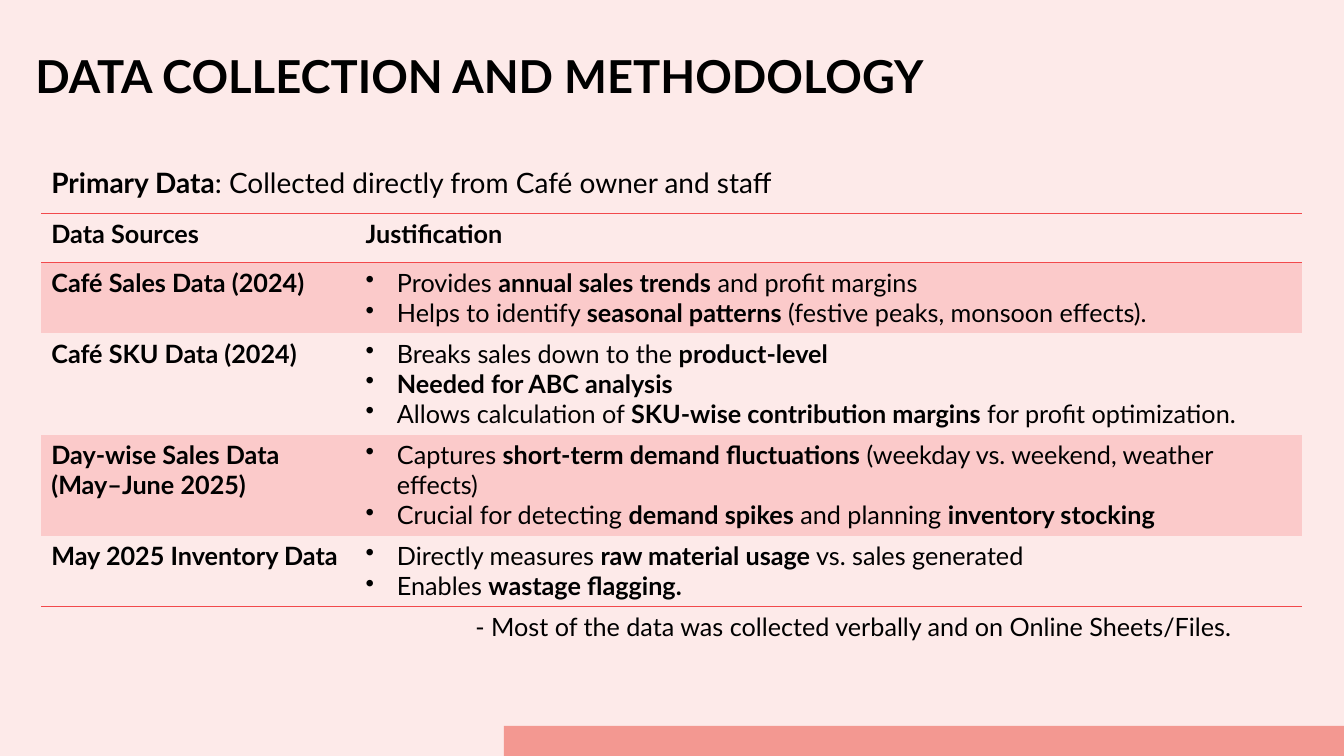
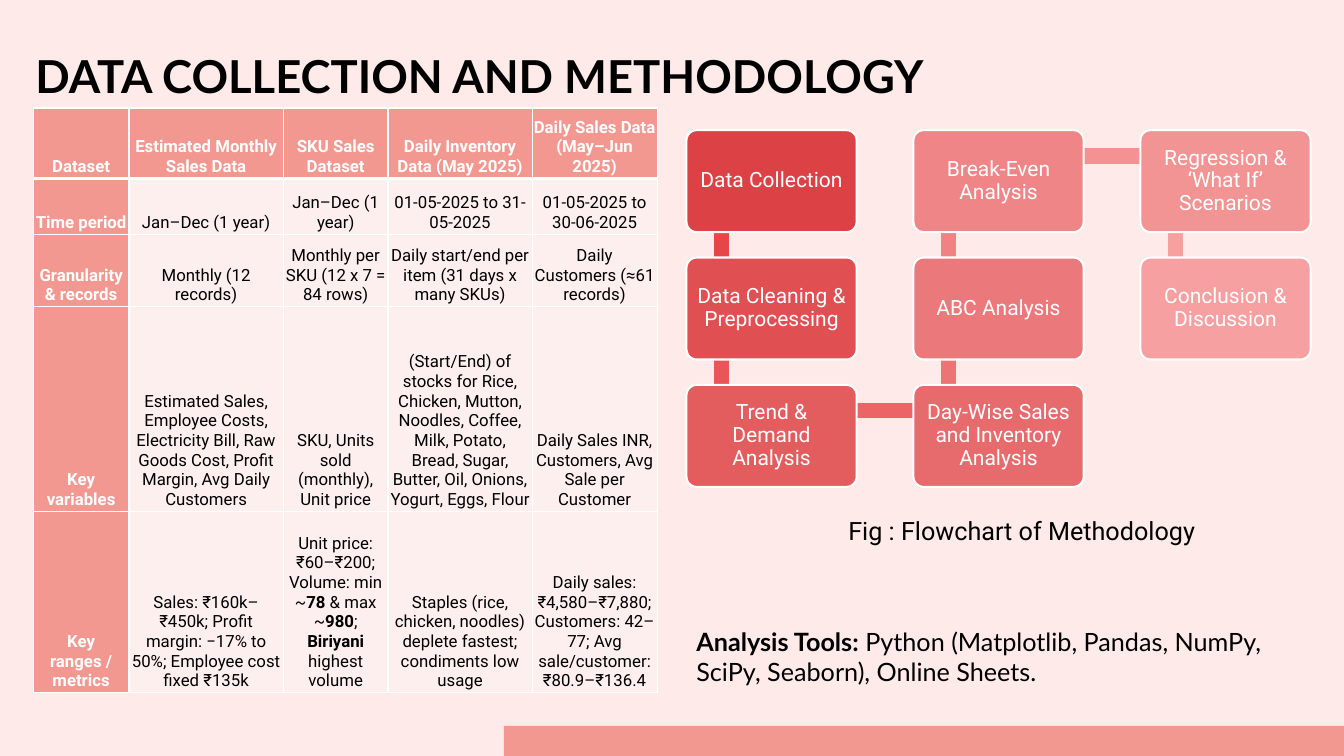
"""Build two slides on data collection and methodology for a café study."""
from dataclasses import dataclass

from lxml import etree
from pptx import Presentation
from pptx.dml.color import RGBColor
from pptx.enum import shapes, text
from pptx.oxml.ns import qn
from pptx.util import Cm, Pt


@dataclass(frozen=True)
class Theme:
    heading: str = "Lato"
    plain: str = "Roboto"
    background: str = "FDEAE9"
    band: str = "F39891"
    stripe: str = "FBCACA"
    rule: str = "F2494C"
    pale: str = "FDEFEE"
    ink: str = "000000"
    white: str = "FFFFFF"
    node_ramp: tuple = ("DC4245", "F6A0A1")
    bar_ramp: tuple = ("E74649", "F6A0A0")
    title_size: float = 32.4
    lead_size: int = 20
    text_size: int = 18
    node_size: int = 15
    small_size: int = 12


T = Theme()
PLAIN_STYLE = "{2D5ABB26-0587-4C30-8999-92F81FD0307C}"

TITLE = "DATA COLLECTION AND METHODOLOGY"
LEAD = "**Primary Data**: Collected directly from Café owner and staff"
NOTE = "- Most of the data was collected verbally and on Online Sheets/Files."
CAPTION = "Fig : Flowchart of Methodology"
TOOLS = ("**Analysis Tools:** Python (Matplotlib, Pandas, NumPy, SciPy, Seaborn), "
         "Online Sheets.")

SOURCES = [
    ("Data Sources", ["**Justification**"]),
    ("Café Sales Data (2024)", [
        "Provides **annual sales trends** and profit margins",
        "Helps to identify **seasonal patterns** (festive peaks, monsoon effects).",
    ]),
    ("Café SKU Data (2024)", [
        "Breaks sales down to the **product-level**",
        "**Needed for ABC analysis**",
        "Allows calculation of **SKU-wise contribution margins** for profit optimization.",
    ]),
    ("Day-wise Sales Data (May–June 2025)", [
        "Captures **short-term demand fluctuations** (weekday vs. weekend, weather effects)",
        "Crucial for detecting **demand spikes** and planning **inventory stocking**",
    ]),
    ("May 2025 Inventory Data", [
        "Directly measures **raw material usage** vs. sales generated",
        "Enables **wastage flagging.**",
    ]),
]
SOURCE_COLS = [7.92, 23.85]
SOURCE_ROWS = [1.24, 1.78, 2.55, 2.55, 1.78]

DATASETS = [
    ("Dataset", "Estimated Monthly Sales Data", "SKU Sales Dataset",
     "Daily Inventory Data (May 2025)", "Daily Sales Data (May–Jun 2025)"),
    ("Time period", "Jan–Dec (1 year)", "Jan–Dec (1 year)",
     "01-05-2025 to 31-05-2025", "01-05-2025 to 30-06-2025"),
    ("Granularity & records", "Monthly (12 records)",
     "Monthly per SKU (12 x 7 = 84 rows)",
     "Daily start/end per item (31 days x many SKUs)",
     "Daily Customers (≈61 records)"),
    ("Key variables",
     "Estimated Sales, Employee Costs, Electricity Bill, Raw Goods Cost, "
     "Profit Margin, Avg Daily Customers",
     "SKU, Units sold (monthly), Unit price",
     "(Start/End) of stocks for Rice, Chicken, Mutton, Noodles, Coffee, Milk, "
     "Potato, Bread, Sugar, Butter, Oil, Onions, Yogurt, Eggs, Flour",
     "Daily Sales INR, Customers, Avg Sale per Customer"),
    ("Key ranges / metrics",
     "Sales: ₹160k–₹450k; Profit margin: −17% to 50%; Employee cost fixed ₹135k",
     "Unit price: ₹60–₹200; Volume: min ~**78** & max ~**980**; **Biriyani** highest volume",
     "Staples (rice, chicken, noodles) deplete fastest; condiments low usage",
     "Daily sales: ₹4,580–₹7,880; Customers: 42–77; Avg sale/customer: ₹80.9–₹136.4"),
]
DATASET_COLS = [2.41, 3.89, 2.64, 3.63, 3.15]
DATASET_ROWS = [1.78, 1.4, 1.83, 5.16, 4.57]
TIGHT_ROWS = (0, 3, 4)

STEPS = [
    ("Data Collection", 0, 0),
    ("Data Cleaning & Preprocessing", 0, 1),
    ("Trend & Demand Analysis", 0, 2),
    ("Day-Wise Sales and Inventory Analysis", 1, 2),
    ("ABC Analysis", 1, 1),
    ("Break-Even Analysis", 1, 0),
    ("Regression & ‘What If’ Scenarios", 2, 0),
    ("Conclusion & Discussion", 2, 1),
]
FLOW_LEFT, FLOW_TOP = 17.3, 3.28
PITCH_X, PITCH_Y = 5.72, 3.21
NODE_W, NODE_H = 4.29, 2.57
JOIN_X, JOIN_Y = 0.89, 0.65


def rgb(value):
    return RGBColor.from_string(value)


def blend(ramp, share):
    start, end = (rgb(c) for c in ramp)
    return RGBColor(*(round(a + (b - a) * share) for a, b in zip(start, end)))


def place(box):
    return [Cm(v) for v in box]


def set_bullet(p, char):
    pPr = p._p.get_or_add_pPr()
    indent = Cm(0.79) if char else 0
    pPr.set("marL", str(indent))
    pPr.set("indent", str(-indent))
    bullet = etree.SubElement(pPr, qn("a:buChar" if char else "a:buNone"))
    if char:
        bullet.set("char", char)


def write(tf, lines, size, font=T.heading, color=T.ink, bold=False,
          align=text.PP_ALIGN.LEFT, spacing=None, char=None):
    for i, line in enumerate(lines):
        p = tf.paragraphs[0] if i == 0 else tf.add_paragraph()
        set_bullet(p, char)
        p.alignment = align
        p.space_before = Pt(0)
        if spacing:
            p.line_spacing = spacing
        for j, part in enumerate(line.split("**")):
            if not part:
                continue
            r = p.add_run()
            r.text = part
            r.font.name, r.font.size = font, Pt(size)
            r.font.bold = bold or j % 2 == 1
            r.font.color.rgb = rgb(color)


def add_text(s, box, line, font=T.heading):
    tf = s.shapes.add_textbox(*place(box)).text_frame
    tf.word_wrap = True
    write(tf, [line], T.text_size, font)


def fill_placeholder(sp, box, line, anchor, size, **style):
    sp.left, sp.top, sp.width, sp.height = place(box)
    tf = sp.text_frame
    tf.auto_size = text.MSO_AUTO_SIZE.NONE
    tf.vertical_anchor = anchor
    write(tf, [line], size, **style)


def add_slide(prs, layout):
    s = prs.slides.add_slide(prs.slide_layouts[layout])
    fill_placeholder(s.shapes.title, (0.64, 0.84, 26.7, 1.88), TITLE,
                     text.MSO_ANCHOR.BOTTOM, T.title_size, bold=True, spacing=0.9)
    return s


def style_master(prs, s):
    master = prs.slide_master
    master.background.fill.solid()
    master.background.fill.fore_color.rgb = rgb(T.background)
    band = s.shapes.add_shape(shapes.MSO_SHAPE.RECTANGLE,
                              *place((12.7, 18.29, 21.17, 0.76)))
    band.shadow.inherit = False
    band.fill.solid()
    band.fill.fore_color.rgb = rgb(T.band)
    band.line.fill.background()
    band.element.xpath(".//p:cNvPr")[0].set("id", "20")
    master.shapes.element.insert(2, band.element)


def add_table(s, left, top, cols, rows):
    frame = s.shapes.add_table(len(rows), len(cols),
                               *place((left, top, sum(cols), sum(rows))))
    frame.element.xpath(".//a:tableStyleId")[0].text = PLAIN_STYLE
    table = frame.table
    table.horz_banding = False
    for col, width in zip(table.columns, cols):
        col.width = Cm(width)
    for row, height in zip(table.rows, rows):
        row.height = Cm(height)
    return table


def set_fill(cell, color):
    if color:
        cell.fill.solid()
        cell.fill.fore_color.rgb = rgb(color)
    else:
        cell.fill.background()


def set_borders(cell, color, **widths):
    tcPr = cell._tc.get_or_add_tcPr()
    sides = [side for side in "LRTB" if side in widths]
    for i, side in enumerate(sides):
        ln = etree.Element(qn(f"a:ln{side}"), w=str(Pt(widths[side])))
        solid = etree.SubElement(ln, qn("a:solidFill"))
        etree.SubElement(solid, qn("a:srgbClr"), val=color)
        tcPr.insert(i, ln)


def add_sources(s):
    table = add_table(s, 1.04, 5.38, SOURCE_COLS, SOURCE_ROWS)
    last = len(SOURCES) - 1
    for r, (name, reasons) in enumerate(SOURCES):
        name_cell, reason_cell = table.cell(r, 0), table.cell(r, 1)
        write(name_cell.text_frame, [name], T.text_size, bold=True)
        write(reason_cell.text_frame, reasons, T.text_size, char="•" if r else None)
        for cell in (name_cell, reason_cell):
            set_fill(cell, T.stripe if r % 2 else None)
            if r == 0:
                set_borders(cell, T.rule, T=1, B=1)
            elif r == last:
                set_borders(cell, T.rule, B=1)


def add_datasets(s):
    table = add_table(s, 0.84, 2.72, DATASET_COLS, DATASET_ROWS)
    for r, row in enumerate(DATASETS):
        for c, line in enumerate(row):
            cell = table.cell(r, c)
            head = r == 0 or c == 0
            tight = c == len(row) - 1 and r in TIGHT_ROWS
            cell.margin_left = cell.margin_right = Cm(0 if tight else 0.06)
            cell.margin_top = cell.margin_bottom = Cm(0.05)
            cell.vertical_anchor = text.MSO_ANCHOR.BOTTOM
            write(cell.text_frame, [line], T.small_size, T.plain,
                  T.white if head else T.ink, head, text.PP_ALIGN.CENTER)
            set_fill(cell, T.band if head else T.pale)
            set_borders(cell, T.white, L=1, R=1,
                        T=3 if r == 1 else 1, B=3 if r == 0 else 1)


def add_flowchart(s):
    spots = [(FLOW_LEFT + col * PITCH_X, FLOW_TOP + row * PITCH_Y)
             for _, col, row in STEPS]
    bars = len(spots) - 1
    for i, ((x1, y1), (x2, y2)) in enumerate(zip(spots, spots[1:])):
        ends = (x1 + JOIN_X, y1 + JOIN_Y, x2 + JOIN_X, y2 + JOIN_Y)
        bar = s.shapes.add_connector(shapes.MSO_CONNECTOR.STRAIGHT, *place(ends))
        bar.line.width = Pt(10.8)
        bar.line.color.rgb = blend(T.bar_ramp, i / (bars - 1))
        etree.SubElement(bar.element.spPr, qn("a:effectLst"))
    for i, ((x, y), (label, _, _)) in enumerate(zip(spots, STEPS)):
        sp = s.shapes.add_shape(shapes.MSO_SHAPE.ROUNDED_RECTANGLE,
                                *place((x, y, NODE_W, NODE_H)))
        sp.adjustments[0] = 0.1
        sp.shadow.inherit = False
        sp.fill.solid()
        sp.fill.fore_color.rgb = blend(T.node_ramp, i / bars)
        sp.line.color.rgb = rgb(T.white)
        sp.line.width = Pt(1.5)
        tf = sp.text_frame
        tf.word_wrap = True
        tf.vertical_anchor = text.MSO_ANCHOR.MIDDLE
        tf.margin_left = tf.margin_right = tf.margin_top = tf.margin_bottom = Cm(0.15)
        write(tf, [label], T.node_size, T.plain, T.white,
              align=text.PP_ALIGN.CENTER, spacing=0.9)


def main():
    prs = Presentation()
    prs.slide_width, prs.slide_height = Cm(33.87), Cm(19.05)

    s = add_slide(prs, 1)
    style_master(prs, s)
    fill_placeholder(s.placeholders[1], (1.04, 4, 30.33, 1.2), LEAD,
                     text.MSO_ANCHOR.MIDDLE, T.lead_size)
    add_sources(s)
    add_text(s, (11.73, 15.27, 21.08, 1.02), NOTE)

    s = add_slide(prs, 5)
    add_flowchart(s)
    add_text(s, (21.13, 12.85, 9.98, 1.02), CAPTION, T.plain)
    add_text(s, (17.3, 15.65, 15.72, 1.8), TOOLS)
    add_datasets(s)

    prs.save("out.pptx")


if __name__ == "__main__":
    main()
